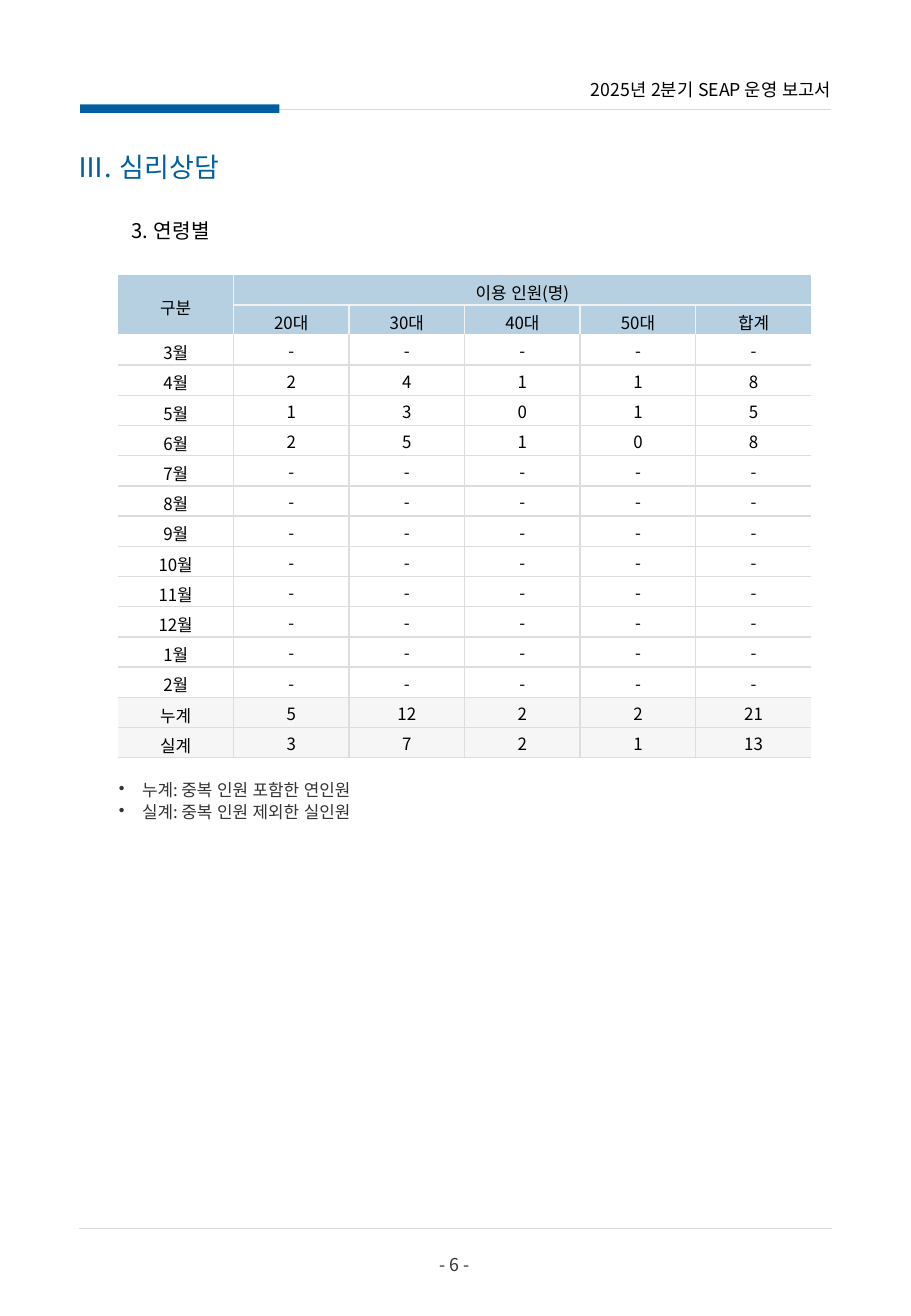
"""Build the quarterly counselling report page with its age-group table."""
import pptx
import pptx.util
import pptx.dml.color
import pptx.enum.shapes
import pptx.enum.text
import pptx.oxml
import pptx.oxml.ns

Inches = pptx.util.Inches
Pt = pptx.util.Pt
RGB = pptx.dml.color.RGBColor
ALIGN = pptx.enum.text.PP_ALIGN
ANCHOR = pptx.enum.text.MSO_ANCHOR
qn = pptx.oxml.ns.qn

FONT = "Noto Sans CJK KR"
BLUE = RGB(0x00, 0x5F, 0xA1)
BLACK = RGB(0x00, 0x00, 0x00)
DARK = RGB(0x33, 0x33, 0x33)
RULE = RGB(0xD9, 0xD9, 0xD9)
GRID = RGB(0xDD, 0xDD, 0xDD)
PALE = RGB(0xF2, 0xF2, 0xF2)
WHITE = RGB(0xFF, 0xFF, 0xFF)
HEAD = RGB(0xB6, 0xD0, 0xE1)
TOTAL = RGB(0xF6, 0xF6, 0xF6)

TITLE = "Ⅲ. 심리상담"
SECTION = "3. 연령별"
REPORT = "2025년 2분기 SEAP 운영 보고서"
PAGE = "- 6 -"
NOTES = ["누계: 중복 인원 포함한 연인원", "실계: 중복 인원 제외한 실인원"]
AGES = ["20대", "30대", "40대", "50대", "합계"]
MONTHS = [f"{(n + 2) % 12 + 1}월" for n in range(12)]
COUNTS = {
    "4월": [2, 4, 1, 1, 8],
    "5월": [1, 3, 0, 1, 5],
    "6월": [2, 5, 1, 0, 8],
    "누계": [5, 12, 2, 2, 21],
    "실계": [3, 7, 2, 1, 13],
}
LABELS = MONTHS + ["누계", "실계"]
ROWS = [["구분", "이용 인원(명)", "", "", "", ""], ["", *AGES]]
ROWS += [[name, *COUNTS.get(name, ["-"] * len(AGES))] for name in LABELS]


def write(para, text, size, color, align=ALIGN.LEFT, before=0, space=0):
    para.alignment = align
    para.space_before = Pt(before)
    run = para.add_run()
    run.text = text
    run.font.size = Pt(size)
    run.font.name = FONT
    run.font.color.rgb = color
    props = run.font._element
    props.set("lang", "ko-KR")
    if space:
        props.set("spc", str(int(space * 100)))
    east = pptx.oxml.parse_xml(
        f'<a:ea {pptx.oxml.ns.nsdecls("a")} typeface="{FONT}"/>')
    props.find(qn("a:latin")).addnext(east)


def indent(para, left, first=0, mark=None):
    props = para._p.get_or_add_pPr()
    props.set("marL", str(Inches(left)))
    props.set("indent", str(Inches(first)))
    if mark:
        props.append(pptx.oxml.parse_xml(
            f'<a:buChar {pptx.oxml.ns.nsdecls("a")} char="{mark}"/>'))


def setup(shape, box, inset):
    shape.left, shape.top, shape.width, shape.height = map(Inches, box)
    frame = shape.text_frame
    frame.word_wrap = True
    frame.auto_size = pptx.enum.text.MSO_AUTO_SIZE.SHAPE_TO_FIT_TEXT
    frame.vertical_anchor = ANCHOR.TOP
    frame.margin_left = frame.margin_right = Inches(inset[0])
    frame.margin_top, frame.margin_bottom = Inches(inset[1]), Inches(inset[2])
    return frame


def label(slide, box, top):
    return setup(slide.shapes.add_textbox(0, 0, 0, 0), box, (0, top, 0))


def rule(slide, left, right, top):
    line = slide.shapes.add_connector(
        pptx.enum.shapes.MSO_CONNECTOR.STRAIGHT,
        Inches(left), Inches(top), Inches(right), Inches(top))
    line.line.color.rgb = RULE
    line.line.width = Pt(0.75)
    line._element.spPr.append(pptx.oxml.parse_xml(
        f'<a:effectLst {pptx.oxml.ns.nsdecls("a")}/>'))


def border(cell, side, color):
    paint = "<a:noFill/>"
    if color is not None:
        paint = f'<a:solidFill><a:srgbClr val="{color}"/></a:solidFill>'
    cell._tc.get_or_add_tcPr().append(pptx.oxml.parse_xml(
        f'<a:ln{side} {pptx.oxml.ns.nsdecls("a")} w="12700">{paint}</a:ln{side}>'))


def upright(row, edge):
    if edge in (0, len(AGES) + 1) or (row == 0 and edge > 1):
        return None
    return PALE if row < 2 else GRID


def level(edge, col):
    if edge == 1:
        return PALE if col else None
    return WHITE if edge in (0, 2) else GRID


def add_grid(slide):
    shape = slide.shapes.add_table(
        len(ROWS), len(ROWS[0]), Inches(0.97), Inches(2.26),
        Inches(5.71), Inches(3.98))
    table = shape.table
    table.first_row = table.horz_banding = False
    table._tbl.tblPr.find(qn("a:tableStyleId")).text = (
        "{2D5ABB26-0587-4C30-8999-92F81FD0307C}")
    for row in table.rows:
        row.height = Inches(3.98 / len(ROWS))
    for col in table.columns:
        col.width = Inches(5.71 / len(ROWS[0]))
    for r, values in enumerate(ROWS):
        for c, value in enumerate(values):
            cell = table.cell(r, c)
            for side, color in (("L", upright(r, c)), ("R", upright(r, c + 1)),
                                ("T", level(r, c)), ("B", level(r + 1, c))):
                border(cell, side, color)
            if 2 <= r < len(ROWS) - 2:
                cell.fill.background()
            else:
                cell.fill.solid()
                cell.fill.fore_color.rgb = HEAD if r < 2 else TOTAL
            cell.vertical_anchor = ANCHOR.MIDDLE
            cell.margin_left = cell.margin_right = Inches(0.01)
            cell.margin_top = Inches(0.04 if r < 2 or c == 0 else 0.01)
            cell.margin_bottom = 0
            if value != "":
                write(cell.text_frame.paragraphs[0], str(value), 10, BLACK,
                      ALIGN.CENTER)
    table.cell(0, 0).merge(table.cell(1, 0))
    table.cell(0, 1).merge(table.cell(0, len(AGES)))


def main():
    deck = pptx.Presentation()
    deck.slide_width, deck.slide_height = Inches(7.5), Inches(10.83)
    slide = deck.slides.add_slide(deck.slide_layouts[5])

    rule(slide, 2.13, 6.84, 0.9)
    bar = slide.shapes.add_shape(
        pptx.enum.shapes.MSO_SHAPE.RECTANGLE,
        Inches(0.66), Inches(0.86), Inches(1.64), Inches(0.07))
    bar.shadow.inherit = False
    bar.fill.solid()
    bar.fill.fore_color.rgb = BLUE
    bar.line.fill.background()
    rule(slide, 0.65, 6.85, 10.11)

    frame = label(slide, (3.54, 10.29, 0.41, 0.2), 0.03)
    write(frame.paragraphs[0], PAGE, 10.5, DARK, ALIGN.CENTER, 1.9)

    frame = setup(slide.shapes.title, (0.54, 1.19, 2.34, 0.37), (0.1, 0.05, 0.05))
    write(frame.paragraphs[0], TITLE, 16, BLUE, space=0.2)

    frame = label(slide, (0.65, 1.72, 2.34, 0.29), 0.08)
    write(frame.paragraphs[0], SECTION, 12, BLACK, ALIGN.JUSTIFY, 6, 0.2)
    indent(frame.paragraphs[0], 0.43)

    add_grid(slide)

    frame = label(slide, (0.97, 6.41, 3.94, 0.36), 0.01)
    for n, note in enumerate(NOTES):
        para = frame.add_paragraph() if n else frame.paragraphs[0]
        write(para, note, 10, DARK, before=1)
        indent(para, 0.2, -0.19, "•")

    frame = label(slide, (4.8, 0.64, 2.04, 0.19), 0.01)
    write(frame.paragraphs[0], REPORT, 10.5, BLACK, ALIGN.RIGHT, 1)
    deck.save("out.pptx")


if __name__ == "__main__":
    main()
